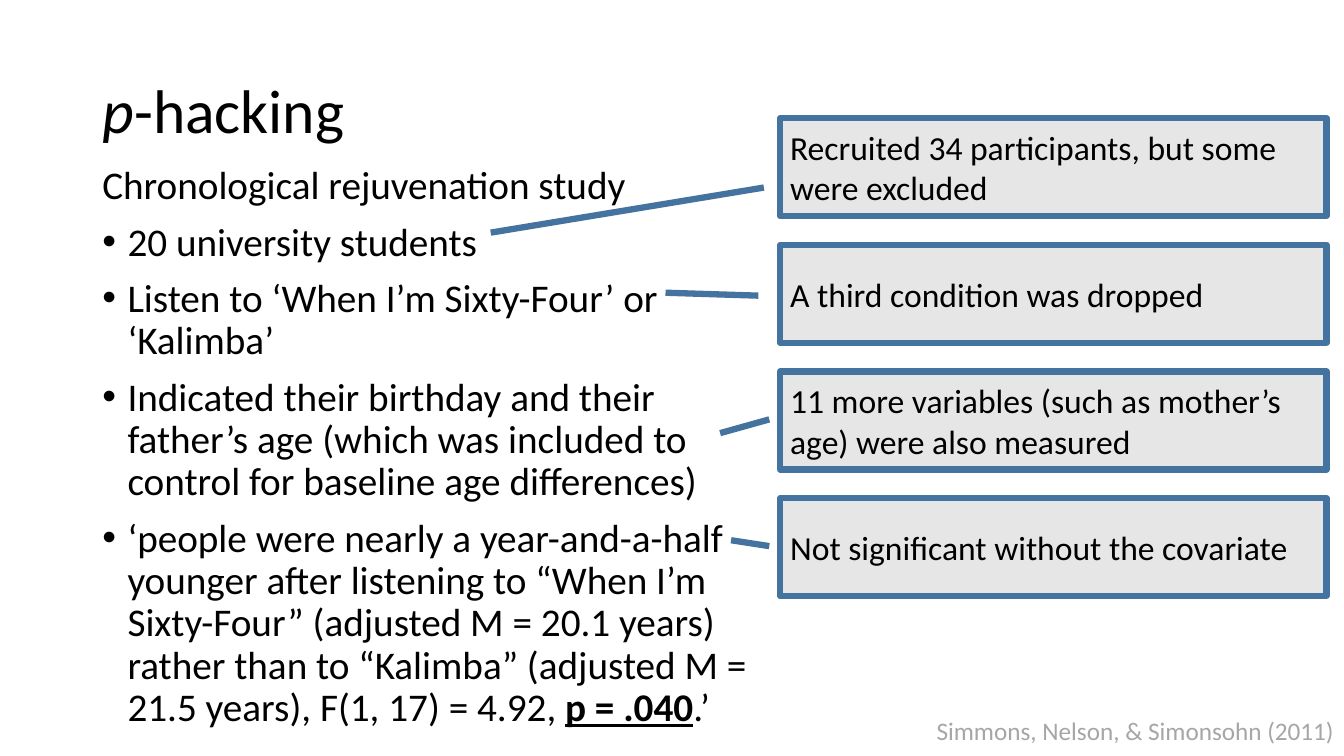
import pptx
import pptx.util
import pptx.dml.color
import pptx.enum.shapes
import pptx.enum.text
import lxml.etree

Pt = pptx.util.Pt
ALIGN = pptx.enum.text.PP_ALIGN
ANCHOR = pptx.enum.text.MSO_ANCHOR
AUTO_SIZE = pptx.enum.text.MSO_AUTO_SIZE


def color(hex_value):
    return pptx.dml.color.RGBColor.from_string(hex_value)


def add_run(paragraph, text, size, hex_value="000000"):
    run = paragraph.add_run()
    run.text = text
    run.font.name = "Calibri"
    run.font.size = Pt(size)
    run.font.color.rgb = color(hex_value)
    return run


deck = pptx.Presentation()
deck.slide_width = Pt(960)
deck.slide_height = Pt(540)
slide = deck.slides.add_slide(deck.slide_layouts[5])

title = slide.shapes.title
title.left, title.top, title.width, title.height = Pt(66), Pt(28.75), Pt(828), Pt(104.4)
title.text_frame.auto_size = AUTO_SIZE.NONE
title.text_frame.vertical_anchor = ANCHOR.MIDDLE
heading = title.text_frame.paragraphs[0]
heading.alignment = ALIGN.LEFT
heading.line_spacing = 0.9
add_run(heading, "p", 44).font.italic = True
add_run(heading, "-hacking", 44)

study = slide.shapes.add_textbox(Pt(66), Pt(115), Pt(476.6), Pt(421)).text_frame
study.word_wrap = True
study.auto_size = AUTO_SIZE.NONE
study_points = [
    "Chronological rejuvenation study",
    "20 university students",
    "Listen to ‘When I’m Sixty-Four’ or ‘Kalimba’",
    "Indicated their birthday and their father’s age (which was included to control for baseline age differences)",
    "‘people were nearly a year-and-a-half younger after listening to “When I’m Sixty-Four” "
    "(adjusted M = 20.1 years) rather than to “Kalimba” (adjusted M = 21.5 years), F(1, 17) = 4.92, ",
]
for index, point in enumerate(study_points):
    paragraph = study.add_paragraph() if index else study.paragraphs[0]
    paragraph.line_spacing = 0.9
    paragraph.space_before = Pt(10)
    add_run(paragraph, point, 28)
    if index:
        properties = paragraph._p.get_or_add_pPr()
        properties.set("marL", str(Pt(18)))
        properties.set("indent", str(Pt(-18)))
        for tag, attribute, value in [("buFont", "typeface", "Arial"), ("buChar", "char", "•")]:
            bullet = lxml.etree.SubElement(properties, pptx.oxml.ns.qn("a:" + tag))
            bullet.set(attribute, value)
p_value = add_run(paragraph, "p = .040", 28)
p_value.font.bold = True
p_value.font.underline = True
add_run(paragraph, ".’", 28)

citation = slide.shapes.add_textbox(Pt(319), Pt(507.6), Pt(641), Pt(29)).text_frame
citation.word_wrap = True
citation.paragraphs[0].alignment = ALIGN.RIGHT
add_run(citation.paragraphs[0], "Simmons, Nelson, & Simonsohn (2011)", 18, "A6A6A6")

disclosures = [
    ("Recruited 34 participants, but some were excluded", (0.71, -0.03, 1.17, -0.53)),
    ("A third condition was dropped", (0.52, -0.04, 0.49, -0.21)),
    ("11 more variables (such as mother’s age) were also measured", (0.49, -0.02, 0.63, -0.11)),
    ("Not significant without the covariate", (0.49, -0.02, 0.43, -0.09)),
]
for index, (disclosure, pointer) in enumerate(disclosures):
    callout = slide.shapes.add_shape(
        pptx.enum.shapes.MSO_SHAPE.LINE_CALLOUT_1,
        Pt(557.3), Pt(84.3 + 90.5 * index), Pt(390.2), Pt(70))
    for position, value in enumerate(pointer):
        callout.adjustments[position] = value
    callout.shadow.inherit = False
    callout.fill.solid()
    callout.fill.fore_color.rgb = color("E7E6E6")
    callout.line.color.rgb = color("43739E")
    callout.line.width = Pt(4.5)
    callout.text_frame.word_wrap = True
    callout.text_frame.vertical_anchor = ANCHOR.MIDDLE
    callout.text_frame.paragraphs[0].alignment = ALIGN.LEFT
    add_run(callout.text_frame.paragraphs[0], disclosure, 24)

deck.save("out.pptx")
